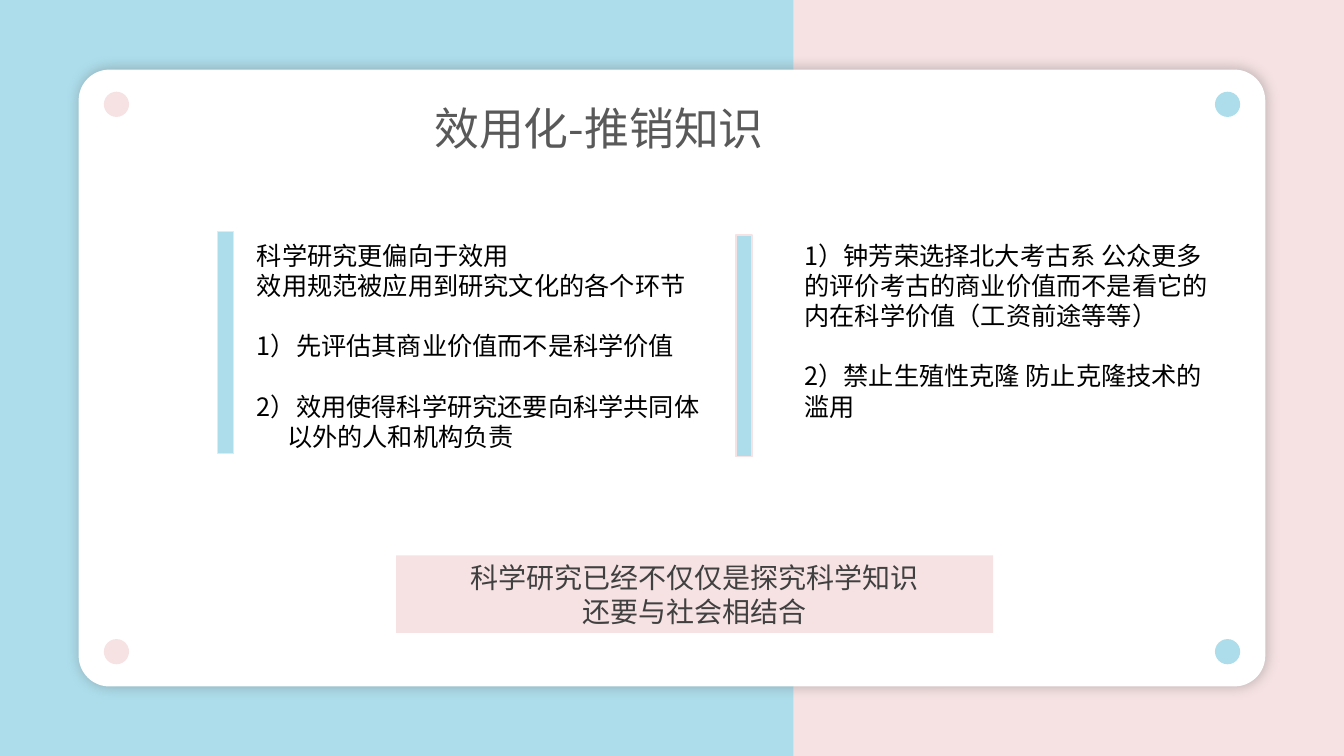
"""Build the slide on utility-driven research: two text columns above a conclusion."""
from lxml import etree
from pptx import Presentation
from pptx.dml.color import RGBColor
from pptx.enum import shapes, text
from pptx.oxml import ns
from pptx.util import Inches, Pt

BLUE = RGBColor(0xAD, 0xDD, 0xEB)
PINK = RGBColor(0xF6, 0xE2, 0xE3)
WHITE = RGBColor(0xFF, 0xFF, 0xFF)
BLACK = RGBColor(0, 0, 0)
DARK_GRAY = RGBColor(0x40, 0x40, 0x40)
GRAY = RGBColor(0x59, 0x59, 0x59)
FONT = "Noto Sans CJK SC"
LINE_GAP = 21.6

presentation = Presentation()
presentation.slide_width = Inches(13.33)
presentation.slide_height = Inches(7.5)
slide = presentation.slides.add_slide(presentation.slide_layouts[6])
slide.background.fill.solid()
slide.background.fill.fore_color.rgb = PINK


def add_block(kind, left, top, width, height, fill, line=None):
    shape = slide.shapes.add_shape(kind, Inches(left), Inches(top), Inches(width), Inches(height))
    shape.shadow.inherit = False
    shape.fill.solid()
    shape.fill.fore_color.rgb = fill
    if line is None:
        shape.line.fill.background()
    else:
        shape.line.color.rgb = line
        shape.line.width = Pt(1)
    return shape


def add_text(frame, content, size=18, font=FONT, color=BLACK, align=None, before=0, indent=0):
    paragraph = frame.paragraphs[0] if not frame.text else frame.add_paragraph()
    paragraph.alignment = align
    paragraph.space_before = Pt(before)
    if indent:
        properties = paragraph._p.get_or_add_pPr()
        properties.set("marL", str(Inches(indent)))
        properties.set("indent", "0")
    run = paragraph.add_run()
    run.text = content
    run.font.size = Pt(size)
    run.font.name = font
    run.font.color.rgb = color
    east_asian = etree.SubElement(run._r.get_or_add_rPr(), ns.qn("a:ea"))
    east_asian.set("typeface", font)


add_block(shapes.MSO_SHAPE.RECTANGLE, -0.02, 0, 7.89, 7.5, BLUE)

card = add_block(shapes.MSO_SHAPE.ROUNDED_RECTANGLE, 0.78, 0.69, 11.77, 6.12, WHITE)
card.adjustments[0] = 0.05
effects = card._element.spPr.find(ns.qn("a:effectLst"))
shadow = etree.SubElement(effects, ns.qn("a:outerShdw"), blurRad=str(Pt(9)), dist=str(Pt(1)),
                          dir="0", algn="ctr", rotWithShape="0")
shadow_color = etree.SubElement(shadow, ns.qn("a:srgbClr"), val=str(GRAY))
etree.SubElement(shadow_color, ns.qn("a:alpha"), val="36000")

for top in (0.91, 6.34):
    for left, color in ((1.03, PINK), (12.05, BLUE)):
        add_block(shapes.MSO_SHAPE.OVAL, left, top, 0.25, 0.25, color)

for left, top in ((2.16, 2.3), (7.3, 2.33)):
    add_block(shapes.MSO_SHAPE.RECTANGLE, left, top, 0.16, 2.2, BLUE, line=PINK)

frames = []
for left, top, width, height in ((4.21, 0.95, 5.64, 0.64), (2.45, 2.33, 4.73, 2.22),
                                 (7.88, 2.33, 4.28, 1.92)):
    box = slide.shapes.add_textbox(Inches(left), Inches(top), Inches(width), Inches(height))
    box.text_frame.word_wrap = True
    frames.append(box.text_frame)
title, research, examples = frames

add_text(title, "效用化-推销知识", size=32, font="Noto Sans CJK JP", color=GRAY,
         align=text.PP_ALIGN.JUSTIFY)

add_text(research, "科学研究更偏向于效用")
add_text(research, "效用规范被应用到研究文化的各个环节")
add_text(research, "1）先评估其商业价值而不是科学价值", before=LINE_GAP)
add_text(research, "2）效用使得科学研究还要向科学共同体", before=LINE_GAP)
add_text(research, "以外的人和机构负责", indent=0.3)

add_text(examples, "1）钟芳荣选择北大考古系 公众更多的评价考古的商业价值而不是看它的内在科学价值（工资前途等等）")
add_text(examples, "2）禁止生殖性克隆 防止克隆技术的滥用", before=LINE_GAP)

conclusion = add_block(shapes.MSO_SHAPE.RECTANGLE, 3.93, 5.51, 5.92, 0.77, PINK).text_frame
conclusion.word_wrap = True
conclusion.vertical_anchor = text.MSO_ANCHOR.MIDDLE
for sentence in ("科学研究已经不仅仅是探究科学知识", "还要与社会相结合"):
    add_text(conclusion, sentence, size=20, color=DARK_GRAY, align=text.PP_ALIGN.CENTER)

presentation.save("out.pptx")
